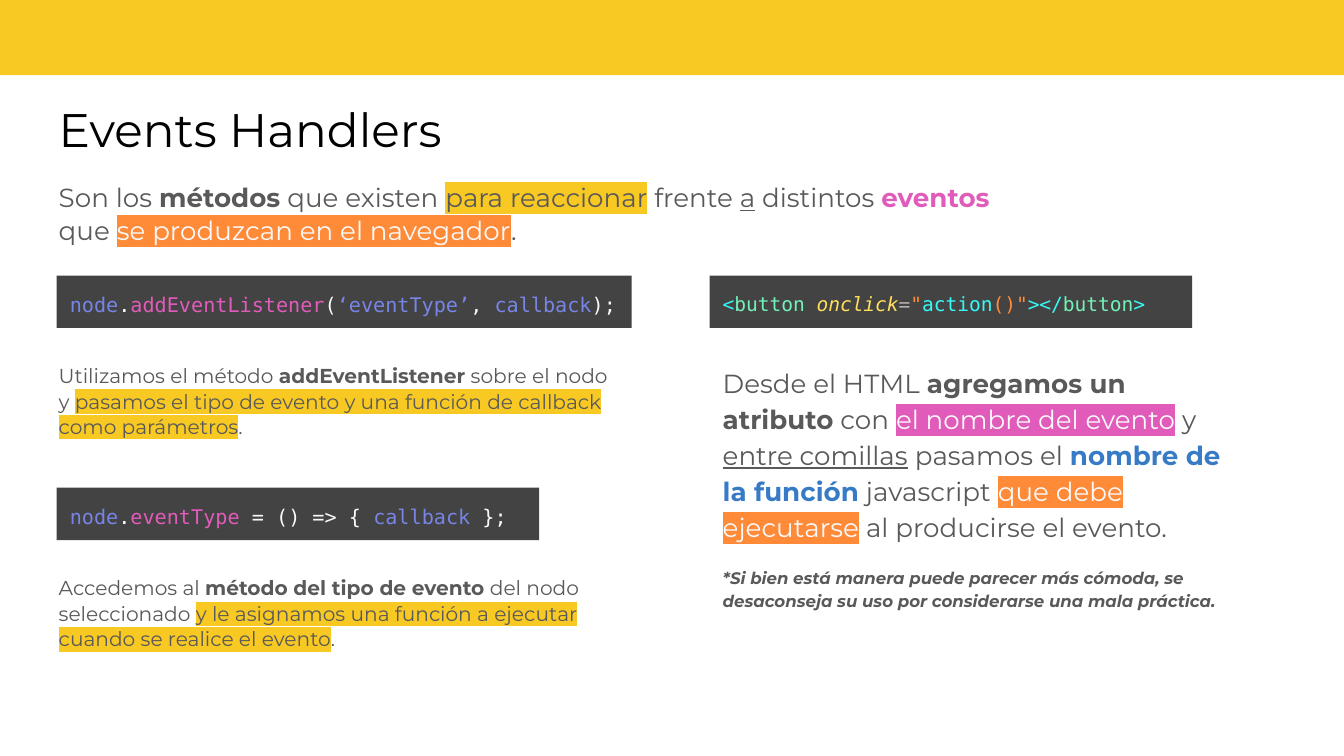
from lxml.etree import SubElement
from pptx import Presentation
from pptx.dml.color import RGBColor
from pptx.enum.shapes import MSO_SHAPE as Shape
from pptx.enum.text import MSO_ANCHOR as Anchor, MSO_AUTO_SIZE as AutoSize, PP_ALIGN as Align
from pptx.oxml.ns import qn
from pptx.util import Cm, Pt

YELLOW = RGBColor(0xF8, 0xC8, 0x23)
CHARCOAL = RGBColor(0x43, 0x43, 0x43)
BLACK = RGBColor(0, 0, 0)
GRAY = RGBColor(0x59, 0x59, 0x59)
PALE = RGBColor(0xF9, 0xF9, 0xF9)
PINK = RGBColor(0xE1, 0x5B, 0xBA)
ORANGE = RGBColor(0xFF, 0x8B, 0x39)
BLUE = RGBColor(0x37, 0x7B, 0xC7)
VIOLET = RGBColor(0x76, 0x85, 0xE6)
CYAN = RGBColor(0x36, 0xF9, 0xF6)
GREEN = RGBColor(0x72, 0xF1, 0xB8)
LEMON = RGBColor(0xFE, 0xDE, 0x5D)
SILVER = RGBColor(0xB6, 0xB1, 0xB1)


def t(text, **look):
    """Pair a text with its format: color, mark, bold, italic, underline."""
    return text, look


class Page:
    """Holds the style and the current slide."""

    prose_font = "Montserrat"
    code_font = "DejaVu Sans Mono"
    inset = Cm(0.25)

    def __init__(self, deck):
        """Add a slide with a title and a body placeholder."""
        self.slide = deck.slides.add_slide(deck.slide_layouts[1])

    def bar(self, left, top, width, height, color):
        """Draw a plain filled rectangle."""
        box = self.slide.shapes.add_shape(
            Shape.RECTANGLE, Cm(left), Cm(top), Cm(width), Cm(height))
        box.shadow.inherit = False
        box.fill.solid()
        box.fill.fore_color.rgb = color
        box.line.fill.background()
        return box

    def frame(self, box):
        """Give a box the common text settings."""
        frame = box.text_frame
        frame.word_wrap = True
        frame.auto_size = AutoSize.NONE
        frame.vertical_anchor = Anchor.TOP
        frame.margin_left = frame.margin_right = self.inset
        frame.margin_top = frame.margin_bottom = self.inset
        return frame

    def fill_para(self, para, parts, size, font, color=GRAY, spacing=1.0, before=0, after=0):
        """Fill a paragraph with formatted spans."""
        para.alignment = Align.LEFT
        para.line_spacing = spacing
        para.space_before, para.space_after = Pt(before), Pt(after)
        for text, look in parts:
            span = para.add_run()
            span.text = text
            span.font.name, span.font.size = font, Pt(size)
            span.font.color.rgb = look.get("color", color)
            span.font.bold = look.get("bold", False)
            span.font.italic = look.get("italic", False)
            span.font.underline = look.get("underline", False)
            if "mark" in look:
                self.highlight(span, look["mark"])

    def highlight(self, span, color):
        """Put a marker colour behind a span."""
        props = span._r.get_or_add_rPr()
        mark = SubElement(props, qn("a:highlight"))
        SubElement(mark, qn("a:srgbClr"), val=str(color))
        props.find(qn("a:solidFill")).addnext(mark)

    def place(self, box, left, top, width, height):
        """Move and size a placeholder."""
        box.left, box.top, box.width, box.height = Cm(left), Cm(top), Cm(width), Cm(height)

    def title(self, text, *place):
        """Set the title placeholder."""
        box = self.slide.shapes.title
        self.place(box, *place)
        self.fill_para(self.frame(box).paragraphs[0], [t(text)], 25.2, self.prose_font, BLACK)

    def body(self, parts, *place):
        """Set the body placeholder as one paragraph without a bullet."""
        box = self.slide.placeholders[1]
        self.place(box, *place)
        para = self.frame(box).paragraphs[0]
        self.fill_para(para, parts, 14, self.prose_font, spacing=1.05, after=12)
        props = para._p.get_or_add_pPr()
        props.set("marL", "0")
        props.set("indent", "0")
        SubElement(props, qn("a:buNone"))

    def code(self, parts, left, top, width, size=10.8):
        """Draw a dark bar with one line of code."""
        box = self.bar(left, top, width, 0.99, CHARCOAL)
        self.fill_para(self.frame(box).paragraphs[0], parts, size, self.code_font, PALE, 1.15)

    def text(self, left, top, width, height, *paras):
        """Add a text box; each paragraph is its parts and its format."""
        box = self.slide.shapes.add_textbox(Cm(left), Cm(top), Cm(width), Cm(height))
        frame = self.frame(box)
        for index, (parts, style) in enumerate(paras):
            para = frame.add_paragraph() if index else frame.paragraphs[0]
            self.fill_para(para, parts, font=self.prose_font, **style)


LEFT, CODE_LEFT, RIGHT = 0.86, 1.07, 13.41
TOP, STEP, NOTE_DROP = 5.21, 4.01, 1.39

deck = Presentation()
deck.slide_width, deck.slide_height = Cm(25.4), Cm(14.29)
page = Page(deck)
page.bar(-0.03, -0.13, 25.48, 1.55, YELLOW)
page.title("Events Handlers", LEFT, 1.65, 23.67, 1.6)
page.body([
    t("Son los "), t("métodos", bold=True), t(" que existen "),
    t("para reaccionar", mark=YELLOW), t(" frente "), t("a", underline=True),
    t(" distintos "), t("eventos", color=PINK, bold=True), t(" que "),
    t("se produzcan en el navegador", color=PALE, mark=ORANGE), t("."),
], LEFT, 3.15, 18.39, 1.73)

methods = [
    (10.87,
     [t("node", color=VIOLET), t("."), t("addEventListener", color=PINK), t("("),
      t("‘eventType’", color=VIOLET), t(", "), t("callback", color=VIOLET), t(");")],
     [t("Utilizamos el método "), t("addEventListener", bold=True), t(" sobre el nodo y "),
      t("pasamos el tipo de evento y una función de callback como parámetros", mark=YELLOW),
      t(".")]),
    (9.12,
     [t("node", color=VIOLET), t("."), t("eventType ", color=PINK), t("= () => { "),
      t("callback ", color=VIOLET), t("};")],
     [t("Accedemos al "), t("método del tipo de evento", bold=True),
      t(" del nodo seleccionado "),
      t("y le asignamos una función a ejecutar cuando se realice el evento", mark=YELLOW),
      t(".")]),
]
for row, (width, code, note) in enumerate(methods):
    top = TOP + row * STEP
    page.code(code, CODE_LEFT, top, width)
    page.text(LEFT, top + NOTE_DROP, 11.1, 1.93,
              (note, dict(size=10.8, spacing=1.05, after=12)))

page.code([
    t("<", color=CYAN), t("button ", color=GREEN), t("onclick", color=LEMON, italic=True),
    t("=", color=SILVER), t('"', color=ORANGE), t("action", color=CYAN),
    t('()"', color=ORANGE), t("></", color=CYAN), t("button", color=GREEN),
    t(">", color=CYAN),
], RIGHT, TOP, 9.12, size=10.5)
page.text(
    RIGHT, TOP + NOTE_DROP, 10.26, 5.33,
    ([t("Desde el HTML "), t("agregamos un atributo", bold=True), t(" con "),
      t("el nombre del evento", color=PALE, mark=PINK), t(" y "),
      t("entre comillas", underline=True), t(" pasamos el "),
      t("nombre de la función", color=BLUE, bold=True), t(" javascript "),
      t("que debe ejecutarse", color=PALE, mark=ORANGE),
      t(" al producirse el evento.")], dict(size=14, spacing=1.15)),
    ([t("*Si bien está manera puede parecer más cómoda, se desaconseja su uso "
        "por considerarse una mala práctica.", bold=True, italic=True)],
     dict(size=8.9, spacing=1.15, before=12, after=12)))

deck.save("out.pptx")
